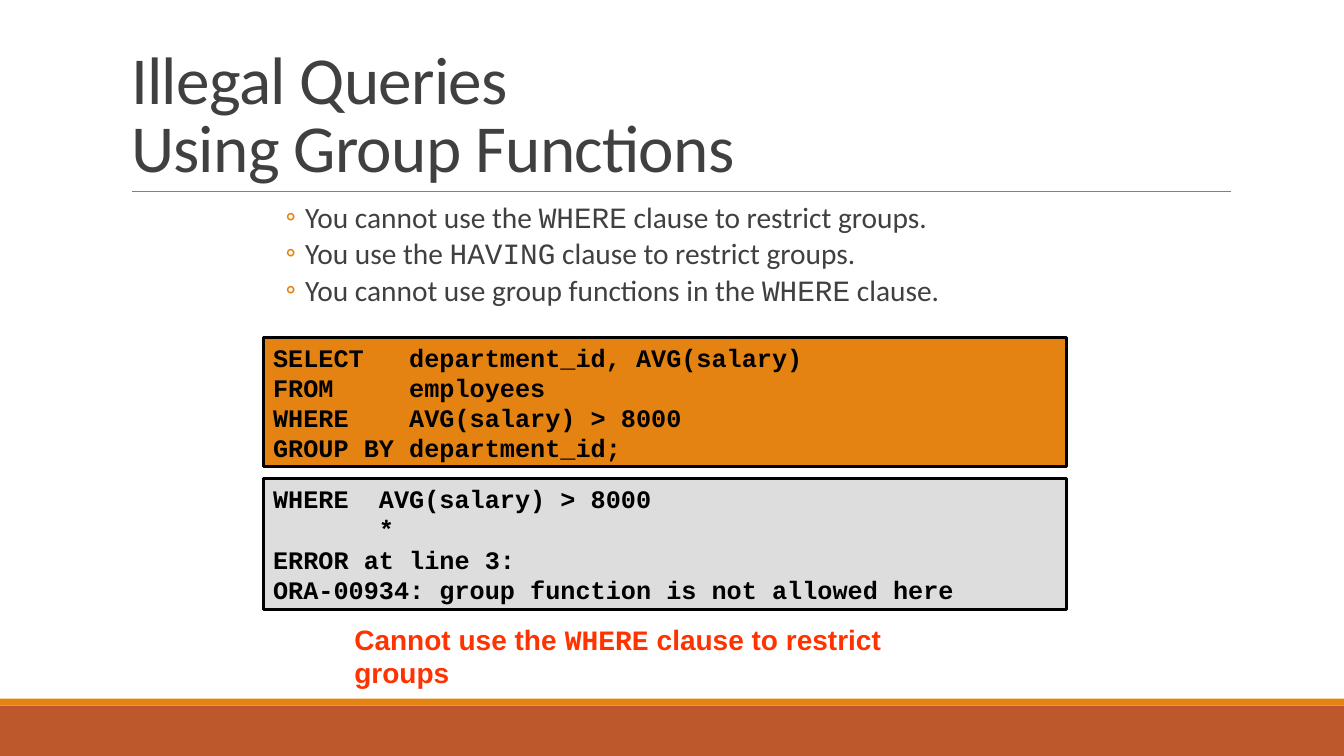
from dataclasses import dataclass

from lxml import etree
from pptx import Presentation
from pptx import util as u
from pptx.dml.color import RGBColor
from pptx.enum import shapes, text
from pptx.oxml.ns import qn

Pt = u.Pt

TITLE = ["Illegal Queries", "Using Group Functions"]
# Each sentence is (before, keyword, after)
RULES = [
    ("You cannot use the ", "WHERE", " clause to restrict groups."),
    ("You use the ", "HAVING", " clause to restrict groups."),
    ("You cannot use group functions in the ", "WHERE", " clause."),
]
QUERY = [
    "SELECT   department_id, AVG(salary)",
    "FROM     employees",
    "WHERE    AVG(salary) > 8000",
    "GROUP BY department_id;",
]
ERROR = [
    "WHERE  AVG(salary) > 8000",
    "       *",
    "ERROR at line 3:",
    "ORA-00934: group function is not allowed here",
]
WARNING = ("Cannot use the ", "WHERE", " clause to restrict groups")


@dataclass(frozen=True)
class Theme:
    body: str = "Calibri"
    code: str = "Courier New"
    note: str = "Arial"
    ink: str = "404040"
    black: str = "000000"
    orange: str = "E48312"
    rust: str = "BD582C"
    grey: str = "DDDDDD"
    rule: str = "808080"
    red: str = "FF3300"
    title_pt: int = 48
    rules_pt: int = 21
    code_pt: int = 18
    note_pt: int = 20


T = Theme()
W, H = 960, 540
BAND_H, STRIPE_H = 36, 5
LEFT, BOX_W = 188, 574


def rgb(value):
    return RGBColor.from_string(value)


def place(sp, x, y, w, h):
    sp.left, sp.top, sp.width, sp.height = Pt(x), Pt(y), Pt(w), Pt(h)


def add_run(p, words, font, size, color, bold=False):
    r = p.add_run()
    r.text = words
    r.font.name, r.font.size, r.font.bold = font, Pt(size), bold
    r.font.color.rgb = rgb(color)
    return r


def add_sentence(p, parts, font, size, color, bold=False):
    """Set the middle part in the code font."""
    for words, face in zip(parts, (font, T.code, font)):
        add_run(p, words, face, size, color, bold)


def paragraphs(tf, count):
    return [tf.paragraphs[0]] + [tf.add_paragraph() for _ in range(count - 1)]


def add_rect(s, x, y, w, h, fill):
    sp = s.shapes.add_shape(shapes.MSO_SHAPE.RECTANGLE, Pt(x), Pt(y), Pt(w), Pt(h))
    sp.shadow.inherit = False
    sp.fill.solid()
    sp.fill.fore_color.rgb = rgb(fill)
    sp.line.fill.background()
    return sp


def add_bullet(p):
    pPr = p._p.get_or_add_pPr()
    pPr.set("marL", str(Pt(30)))
    pPr.set("indent", str(-Pt(14)))
    color = etree.SubElement(pPr, qn("a:buClr"))
    etree.SubElement(color, qn("a:srgbClr"), val=T.orange)
    etree.SubElement(pPr, qn("a:buFont"), typeface=T.body)
    etree.SubElement(pPr, qn("a:buChar"), char="◦")


def add_background(s):
    add_rect(s, 0, H - BAND_H, W, BAND_H, T.rust)
    add_rect(s, 0, H - BAND_H - STRIPE_H, W, STRIPE_H, T.orange)
    line = s.shapes.add_connector(
        shapes.MSO_CONNECTOR.STRAIGHT, Pt(94.5), Pt(136.8), Pt(879), Pt(136.8))
    line.line.color.rgb = rgb(T.rule)
    line.line.width = Pt(0.5)
    etree.SubElement(line._element.spPr, qn("a:effectLst"))


def fill_title(sp):
    place(sp, 86.4, 22.5, 792, 114.3)
    tf = sp.text_frame
    tf.auto_size = text.MSO_AUTO_SIZE.NONE
    tf.vertical_anchor = text.MSO_ANCHOR.BOTTOM
    p = tf.paragraphs[0]
    p.alignment = text.PP_ALIGN.LEFT
    p.line_spacing = 0.85
    for i, words in enumerate(TITLE):
        if i:
            p.add_line_break()
        r = add_run(p, words, T.body, T.title_pt, T.ink)
        r.font._element.set("spc", "-50")


def fill_rules(sp):
    place(sp, LEFT, 143.3, 580, 88)
    tf = sp.text_frame
    tf.auto_size = text.MSO_AUTO_SIZE.NONE
    tf.margin_left = tf.margin_right = 0
    for p, parts in zip(paragraphs(tf, len(RULES)), RULES):
        p.level = 1
        p.line_spacing = 0.8
        p.space_before, p.space_after = Pt(2), Pt(4)
        add_bullet(p)
        add_sentence(p, parts, T.body, T.rules_pt, T.ink)


def add_code(s, y, h, fill, lines):
    sp = add_rect(s, LEFT, y, BOX_W, h, fill)
    sp.line.color.rgb = rgb(T.black)
    sp.line.width = Pt(2.25)
    tf = sp.text_frame
    tf.word_wrap = True
    tf.vertical_anchor = text.MSO_ANCHOR.MIDDLE
    for p, words in zip(paragraphs(tf, len(lines)), lines):
        p.alignment = text.PP_ALIGN.LEFT
        add_run(p, words, T.code, T.code_pt, T.black, True)


def add_warning(s):
    sp = s.shapes.add_textbox(Pt(246), Pt(440.8), Pt(455), Pt(31))
    tf = sp.text_frame
    tf.word_wrap = True
    tf.auto_size = text.MSO_AUTO_SIZE.SHAPE_TO_FIT_TEXT
    add_sentence(tf.paragraphs[0], WARNING, T.note, T.note_pt, T.red, True)


def main():
    prs = Presentation()
    prs.slide_width, prs.slide_height = Pt(W), Pt(H)
    s = prs.slides.add_slide(prs.slide_layouts[1])
    add_background(s)
    fill_title(s.shapes.title)
    fill_rules(s.placeholders[1])
    add_code(s, 241.4, 92, T.orange, QUERY)
    add_code(s, 341.8, 93.6, T.grey, ERROR)
    add_warning(s)
    prs.save("out.pptx")


if __name__ == "__main__":
    main()
